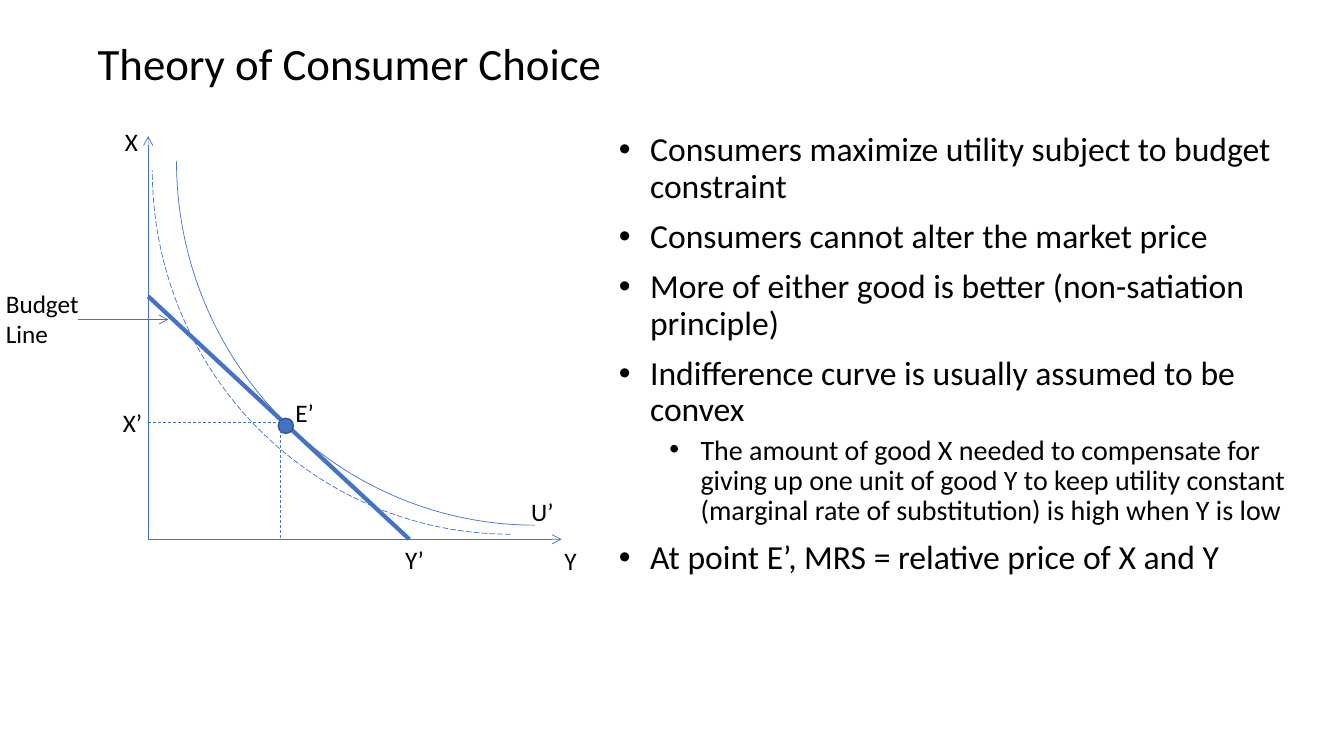
from lxml.etree import SubElement
from pptx import Presentation
from pptx.dml.color import RGBColor
from pptx.enum.dml import MSO_LINE as Dash
from pptx.enum.shapes import MSO_CONNECTOR as Connector, MSO_SHAPE as Shape
from pptx.enum.text import MSO_ANCHOR as Anchor
from pptx.oxml.ns import qn
from pptx.util import Pt

PX = 9144
WIDTH, HEIGHT = 1333, 750
FONT = "Calibri"
COLORS = {"text": "000000", "line": "4472C4", "point_edge": "325491"}

TITLE = ("Theory of Consumer Choice", (87, 0, 725, 94))
BODY_BOX = (604, 127, 690, 580)
BULLETS = [
    (0, "Consumers maximize utility subject to budget constraint"),
    (0, "Consumers cannot alter the market price"),
    (0, "More of either good is better (non-satiation principle)"),
    (0, "Indifference curve is usually assumed to be convex"),
    (1, "The amount of good X needed to compensate for giving up one unit of good Y "
        "to keep utility constant (marginal rate of substitution) is high when Y is low"),
    (0, "At point E’, MRS = relative price of X and Y"),
]
LEVELS = [
    {"size": 24, "before": 10, "indent": 31},
    {"size": 20, "before": 5, "indent": 81},
]
HANGING = 31

ORIGIN_X, ORIGIN_Y = 147, 535
AXES = [(557, ORIGIN_Y), (ORIGIN_X, 135)]
BUDGET_LINE = (ORIGIN_X, 294, 406, ORIGIN_Y)
BUDGET_POINTER = (77, 317, 167, 317)
GUIDES = [(ORIGIN_X, 419, 276, 419), (278, 417, 278, ORIGIN_Y)]
CURVE_SIZE = (711, 722)
CURVES = [((175, -201), None), ((151, -192), Dash.LONG_DASH)]
EQUILIBRIUM = (276, 415, 15, 15)
LABELS = [
    ("X’", (112, 399, 39, 40)),
    ("Y’", (392, 535, 39, 40)),
    ("U’", (517, 487, 43, 40)),
    ("Budget\nLine", (-4, 281, 93, 71)),
    ("X", (114, 120, 33, 40)),
    ("Y", (550, 536, 32, 40)),
    ("E’", (283, 389, 39, 40)),
]


def emu(lengths):
    return [length * PX for length in lengths]


def color(name):
    return RGBColor.from_string(COLORS[name])


def format_line(line, width, dash=None, name="line"):
    line.color.rgb = color(name)
    line.width = Pt(width)
    if dash is not None:
        line.dash_style = dash


def add_line(slide, ends, width=0.5, dash=None, arrow=False):
    connector = slide.shapes.add_connector(Connector.STRAIGHT, *emu(ends))
    format_line(connector.line, width, dash)
    if arrow:
        SubElement(connector.line._get_or_add_ln(), qn("a:tailEnd"), type="arrow")
    SubElement(connector._element.spPr, qn("a:effectLst"))


def add_curve(slide, corner, dash):
    curve = slide.shapes.add_shape(Shape.ARC, *emu(corner + CURVE_SIZE))
    curve.rotation = 180
    curve.shadow.inherit = False
    curve.fill.background()
    format_line(curve.line, 0.5, dash)


def add_frame(slide, box, wrap=True, anchor=Anchor.TOP):
    frame = slide.shapes.add_textbox(*emu(box)).text_frame
    frame.word_wrap = wrap
    frame.vertical_anchor = anchor
    return frame


def write(paragraph, text, size=18, spacing=None, before=None, level=0, indent=None):
    run = paragraph.add_run()
    run.text = text
    run.font.name = FONT
    run.font.size = Pt(size)
    run.font.color.rgb = color("text")
    paragraph.level = level
    if spacing:
        paragraph.line_spacing = spacing
    if before:
        paragraph.space_before = Pt(before)
    if indent:
        properties = paragraph._p.get_or_add_pPr()
        properties.set("marL", str(indent * PX))
        properties.set("indent", str(-HANGING * PX))
        SubElement(properties, qn("a:buFont"), typeface="Arial")
        SubElement(properties, qn("a:buChar"), char="•")


def write_lines(frame, entries):
    for index, (text, style) in enumerate(entries):
        paragraph = frame.add_paragraph() if index else frame.paragraphs[0]
        write(paragraph, text, **style)


def add_diagram(slide):
    for end in AXES:
        add_line(slide, (ORIGIN_X, ORIGIN_Y) + end, arrow=True)
    for corner, dash in CURVES:
        add_curve(slide, corner, dash)
    add_line(slide, BUDGET_LINE, width=3)
    point = slide.shapes.add_shape(Shape.OVAL, *emu(EQUILIBRIUM))
    point.shadow.inherit = False
    point.fill.solid()
    point.fill.fore_color.rgb = color("line")
    format_line(point.line, 1, name="point_edge")
    for ends in GUIDES:
        add_line(slide, ends, dash=Dash.DASH)
    add_line(slide, BUDGET_POINTER, arrow=True)
    for text, box in LABELS:
        write_lines(add_frame(slide, box, wrap=False), [(line, {}) for line in text.split("\n")])


def main():
    presentation = Presentation()
    presentation.slide_width, presentation.slide_height = emu((WIDTH, HEIGHT))
    slide = presentation.slides.add_slide(presentation.slide_layouts[6])
    title, title_box = TITLE
    write_lines(add_frame(slide, title_box, anchor=Anchor.BOTTOM), [(title, {"size": 32, "spacing": 0.9})])
    bullets = [(text, {"level": level, "spacing": 0.9, **LEVELS[level]}) for level, text in BULLETS]
    write_lines(add_frame(slide, BODY_BOX), bullets)
    add_diagram(slide)
    presentation.save("out.pptx")


if __name__ == "__main__":
    main()
